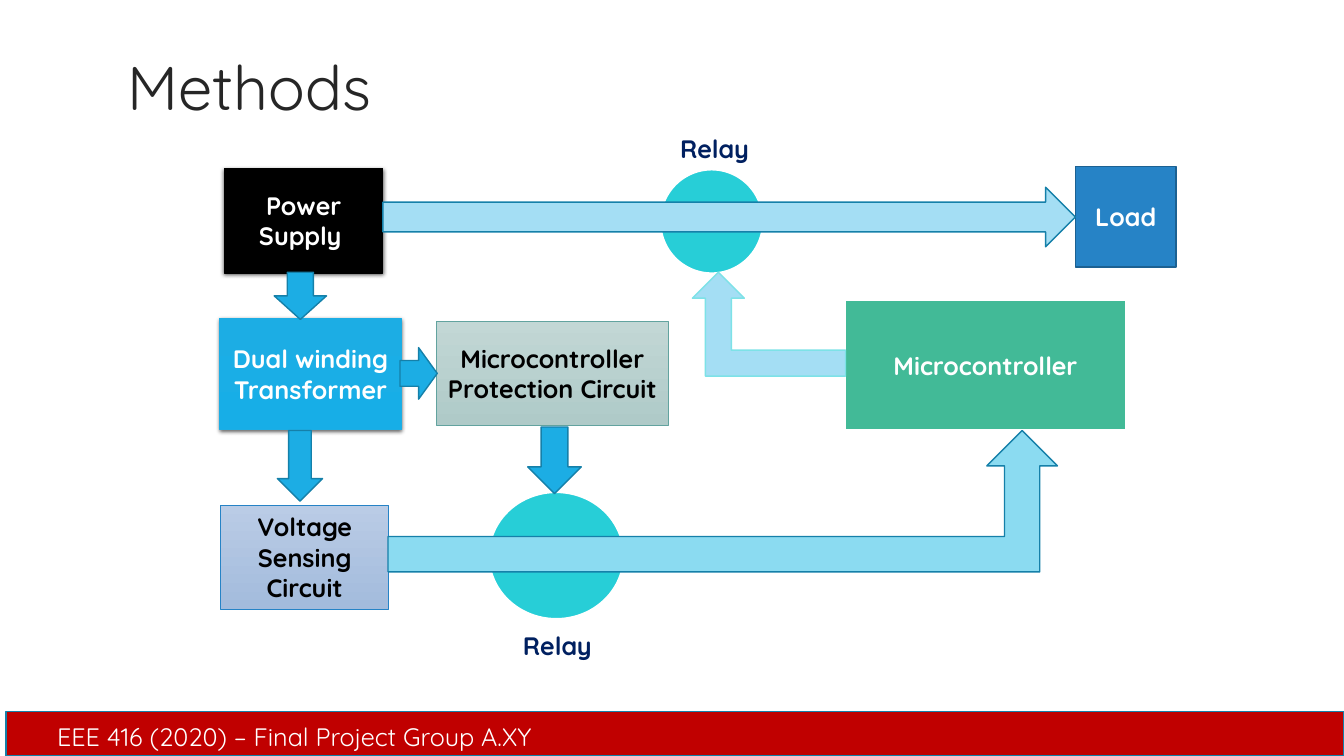
from lxml.etree import SubElement
from pptx import Presentation
from pptx.dml.color import RGBColor
from pptx.enum.shapes import MSO_SHAPE
from pptx.enum.text import MSO_ANCHOR, PP_ALIGN
from pptx.oxml.ns import qn
from pptx.util import Cm, Pt

# Content: places are left, top, width, height in cm
FONT = "Quicksand"
WHITE, BLACK, NAVY = "FFFFFF", "000000", "002060"
BLUE, PALE, EDGE, TEAL = "1CADE4", "A4DEF4", "1580A9", "27CED7"

FOOTER_BAR = (0.15, 17.93, 33.72, 1.12)
TITLE = ("Methods", (2.97, 1.27, 27.94, 2.03))
FOOTER = ("EEE 416 (2020) – Final Project Group A.XY", (1.19, 18.06, 13.41, 0.99))

# Text, place, fill (two colours make a gradient), line, line width, text colour, shadow
BLOCKS = [
    ("Power Supply ", (5.66, 4.24, 3.99, 2.64), [BLACK], BLACK, 0.5, WHITE, True),
    ("Dual winding Transformer", (5.54, 8.03, 4.57, 2.79), [BLUE, "17AEE7"], BLUE, 0.5, WHITE, True),
    ("Microcontroller Protection Circuit", (11, 8.1, 5.84, 2.62), ["C2D7D5", "AFCAC8"], "62A39F", 0.5, BLACK, False),
    ("Voltage Sensing Circuit", (5.56, 12.73, 4.24, 2.62), ["BACCE6", "A3BBDC"], "2683C6", 0.5, BLACK, False),
    ("Microcontroller", (21.29, 7.57, 7.09, 3.28), ["42BA97"], WHITE, 1.5, WHITE, False),
    ("Load", (27.1, 4.19, 2.54, 2.54), ["2683C6"], "1C6192", 1, WHITE, False),
]

# Circle place, label place
RELAYS = [
    ((16.64, 4.27, 2.59, 2.62), (16.89, 3.23, 2.62, 1.02)),
    ((12.32, 12.4, 3.4, 3.2), (12.93, 15.75, 2.62, 1.02)),
]

# Preset, place, fill, line, mirrored
ARROWS = [
    (MSO_SHAPE.BENT_UP_ARROW, (17.45, 6.86, 3.86, 2.62), PALE, "7DE2E7", True),
    (MSO_SHAPE.BENT_UP_ARROW, (9.78, 10.85, 16.87, 3.56), "8BDBF1", EDGE, False),
    (MSO_SHAPE.DOWN_ARROW, (13.3, 10.76, 1.35, 1.68), BLUE, EDGE, False),
    (MSO_SHAPE.RIGHT_ARROW, (9.65, 4.72, 17.45, 1.5), PALE, EDGE, False),
    (MSO_SHAPE.DOWN_ARROW, (6.99, 10.85, 1.14, 1.78), BLUE, EDGE, False),
    (MSO_SHAPE.RIGHT_ARROW, (10.08, 8.76, 0.94, 1.3), BLUE, EDGE, False),
    (MSO_SHAPE.DOWN_ARROW, (6.91, 6.86, 1.32, 1.19), BLUE, EDGE, False),
]


def color(hex_value):
    return RGBColor.from_string(hex_value)


def place_in_cm(place):
    return [Cm(length) for length in place]


def write(shape, text, size=18, ink=WHITE, bold=False, align=PP_ALIGN.LEFT,
          anchor=MSO_ANCHOR.TOP, spacing=None):
    frame = shape.text_frame
    frame.word_wrap = True
    frame.vertical_anchor = anchor
    para = frame.paragraphs[0]
    para.alignment = align
    para.line_spacing = spacing
    span = para.add_run()
    span.text = text
    span.font.name = FONT
    span.font.size = Pt(size)
    span.font.bold = bold
    span.font.color.rgb = color(ink)


def add_text(slide, text, place, **style):
    write(slide.shapes.add_textbox(*place_in_cm(place)), text, **style)


def add_figure(slide, preset, place, fills, line, width=1):
    shape = slide.shapes.add_shape(preset, *place_in_cm(place))
    shape.shadow.inherit = False
    if len(fills) == 1:
        shape.fill.solid()
        shape.fill.fore_color.rgb = color(fills[0])
    else:
        shape.fill.gradient()
        shape.fill.gradient_angle = 270
        for stop, hex_value in zip(shape.fill.gradient_stops, fills):
            stop.color.rgb = color(hex_value)
    shape.line.color.rgb = color(line)
    shape.line.width = Pt(width)
    return shape


def add_shadow(shape):
    effects = shape._element.spPr.find(qn("a:effectLst"))
    shadow = SubElement(effects, qn("a:outerShdw"), blurRad=str(Pt(3)),
                        dist=str(Pt(1)), dir="5400000", algn="ctr", rotWithShape="0")
    tone = SubElement(shadow, qn("a:srgbClr"), val=BLACK)
    SubElement(tone, qn("a:alpha"), val="63000")


def add_arrow(slide, preset, place, fill, line, mirrored):
    arrow = add_figure(slide, preset, place, [fill], line)
    if mirrored:
        arrow._element.spPr.get_or_add_xfrm().set("flipH", "1")


def main():
    deck = Presentation()
    deck.slide_width, deck.slide_height = Cm(33.87), Cm(19.05)
    slide = deck.slides.add_slide(deck.slide_layouts[6])

    # Footer and title
    add_figure(slide, MSO_SHAPE.RECTANGLE, FOOTER_BAR, ["C00000"], EDGE)
    add_text(slide, *TITLE, size=44, ink="262626", anchor=MSO_ANCHOR.MIDDLE, spacing=0.9)
    add_text(slide, *FOOTER)

    # Circuit blocks
    for text, place, fills, line, width, ink, shadowed in BLOCKS:
        block = add_figure(slide, MSO_SHAPE.RECTANGLE, place, fills, line, width)
        write(block, text, ink=ink, bold=True, align=PP_ALIGN.CENTER, anchor=MSO_ANCHOR.MIDDLE)
        if shadowed:
            add_shadow(block)

    # Relays lie under the arrows
    for circle, label in RELAYS:
        add_figure(slide, MSO_SHAPE.OVAL, circle, [TEAL], WHITE, 1.5)
        add_text(slide, "Relay", label, ink=NAVY, bold=True)

    for arrow in ARROWS:
        add_arrow(slide, *arrow)

    deck.save("out.pptx")


if __name__ == "__main__":
    main()
